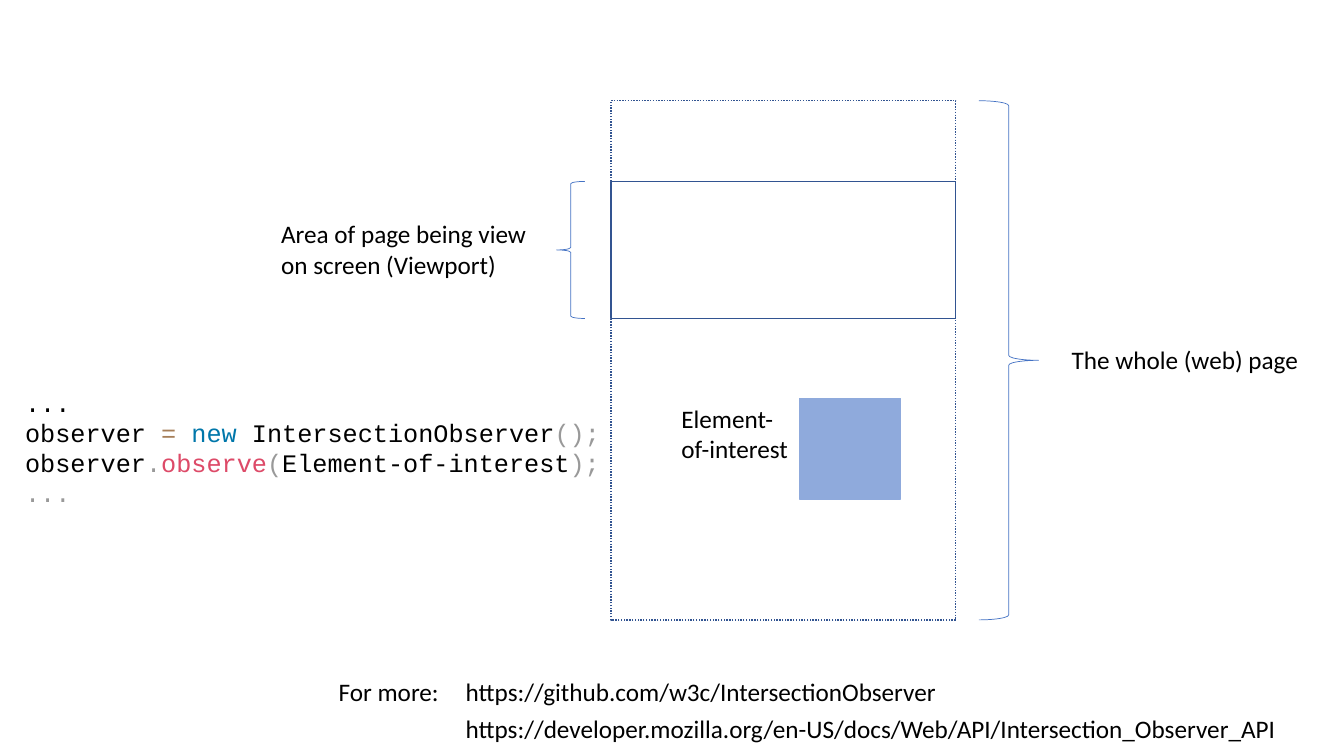
from dataclasses import dataclass
from typing import NamedTuple, Optional

import pptx
import pptx.dml.color
import pptx.enum.dml
import pptx.enum.shapes
import pptx.enum.text
import pptx.util

SLIDE_WIDTH = pptx.util.Inches(13.33)
SLIDE_HEIGHT = pptx.util.Inches(7.5)
BLANK_LAYOUT = 6
PRESET = pptx.enum.shapes.MSO_SHAPE


@dataclass(frozen=True)
class Theme:
    body_font: str = "Calibri"
    code_font: str = "Courier New"
    text_size: float = 18
    outline_weight: float = 1
    brace_weight: float = 0.5
    text: str = "000000"
    outline: str = "325491"
    brace: str = "4472C4"
    element: str = "8FAADC"
    operator: str = "A67F59"
    keyword: str = "0077AA"
    function: str = "DD4A68"
    punctuation: str = "999999"


THEME = Theme()


class Area(NamedTuple):
    """Left and width in percent of slide width, top and height in percent of its height."""
    left: float
    top: float
    width: float
    height: float

    def lengths(self) -> tuple[int, ...]:
        sides = (SLIDE_WIDTH, SLIDE_HEIGHT, SLIDE_WIDTH, SLIDE_HEIGHT)
        return tuple(round(side * share / 100) for side, share in zip(sides, self))


class Span(NamedTuple):
    text: str
    color: str = THEME.text


@dataclass(frozen=True)
class Figure:
    area: Area
    preset: PRESET
    line: str
    weight: float = THEME.outline_weight
    fill: Optional[str] = None
    dotted: bool = False


@dataclass(frozen=True)
class Label:
    area: Area
    lines: list[list[Span]]
    wrap: bool = True
    font: str = THEME.body_font


# Shared rows, columns and heights
PAGE_LEFT, PAGE_WIDTH = 45.46, 25.66
PAGE_TOP, PAGE_HEIGHT = 13.33, 68.67
VIEW_TOP, VIEW_HEIGHT = 24, 18.13
ELEMENT_TOP = 52.67
LINK_LEFT, LINK_TOP = 33.91, 88.8
ONE_LINE, TWO_LINES, FOUR_LINES = 5.33, 9.47, 17.47

FIGURES = [
    # Whole page and viewport
    Figure(Area(PAGE_LEFT, PAGE_TOP, PAGE_WIDTH, PAGE_HEIGHT), PRESET.RECTANGLE,
           THEME.outline, dotted=True),
    Figure(Area(PAGE_LEFT, VIEW_TOP, PAGE_WIDTH, VIEW_HEIGHT), PRESET.RECTANGLE,
           THEME.outline),
    # Braces that measure them
    Figure(Area(72.84, PAGE_TOP, 4.43, PAGE_HEIGHT), PRESET.RIGHT_BRACE,
           THEME.brace, THEME.brace_weight),
    Figure(Area(41.41, VIEW_TOP, 2.1, VIEW_HEIGHT), PRESET.LEFT_BRACE,
           THEME.brace, THEME.brace_weight),
    # Element of interest
    Figure(Area(59.49, ELEMENT_TOP, 7.5, 13.33), PRESET.RECTANGLE,
           THEME.element, fill=THEME.element),
]

CODE = [
    [Span("...")],
    [Span("observer "), Span("= ", THEME.operator), Span("new ", THEME.keyword),
     Span("IntersectionObserver"), Span("();", THEME.punctuation)],
    [Span("observer"), Span(".", THEME.punctuation), Span("observe", THEME.function),
     Span("(", THEME.punctuation), Span("Element-of-interest"),
     Span(");", THEME.punctuation)],
    [Span("...", THEME.punctuation)],
]

LABELS = [
    # Captions of the diagram
    Label(Area(79, 44.93, 18.6, ONE_LINE), [[Span("The whole (web) page")]], wrap=False),
    Label(Area(20.18, 28.27, 20.41, TWO_LINES),
          [[Span("Area of page being view on screen (Viewport)")]]),
    Label(Area(49.96, ELEMENT_TOP, 10.35, TWO_LINES), [[Span("Element-of-interest")]]),
    # Code sample
    Label(Area(1.13, 50.53, 44.71, FOUR_LINES), CODE, font=THEME.code_font),
    # Further reading
    Label(Area(24.46, LINK_TOP, 9.45, ONE_LINE), [[Span("For more:")]], wrap=False),
    Label(Area(LINK_LEFT, LINK_TOP, 36.98, ONE_LINE),
          [[Span("https://github.com/w3c/IntersectionObserver")]], wrap=False),
    Label(Area(LINK_LEFT, 93.73, 65, ONE_LINE),
          [[Span("https://developer.mozilla.org/en-US/docs/Web/API/"
                 "Intersection_Observer_API")]]),
]


def rgb(color: str) -> pptx.dml.color.RGBColor:
    return pptx.dml.color.RGBColor.from_string(color)


def apply_format(target: object, values: dict[str, object]) -> None:
    for name, value in values.items():
        setattr(target, name, value)


def draw_figure(page: pptx.slide.Slide, figure: Figure) -> None:
    shape = page.shapes.add_shape(figure.preset, *figure.area.lengths())
    shape.shadow.inherit = False
    if figure.fill:
        shape.fill.solid()
        shape.fill.fore_color.rgb = rgb(figure.fill)
    else:
        shape.fill.background()
    shape.line.color.rgb = rgb(figure.line)
    shape.line.width = pptx.util.Pt(figure.weight)
    if figure.dotted:
        shape.line.dash_style = pptx.enum.dml.MSO_LINE.ROUND_DOT


def draw_label(page: pptx.slide.Slide, label: Label) -> None:
    box = page.shapes.add_textbox(*label.area.lengths())
    apply_format(box.text_frame, {
        "word_wrap": label.wrap,
        "auto_size": pptx.enum.text.MSO_AUTO_SIZE.SHAPE_TO_FIT_TEXT,
    })
    for index, line in enumerate(label.lines):
        para = box.text_frame.add_paragraph() if index else box.text_frame.paragraphs[0]
        for span in line:
            run = para.add_run()
            run.text = span.text
            apply_format(run.font, {"name": label.font,
                                    "size": pptx.util.Pt(THEME.text_size)})
            run.font.color.rgb = rgb(span.color)


def main() -> None:
    deck = pptx.Presentation()
    apply_format(deck, {"slide_width": SLIDE_WIDTH, "slide_height": SLIDE_HEIGHT})
    page = deck.slides.add_slide(deck.slide_layouts[BLANK_LAYOUT])
    for figure in FIGURES:
        draw_figure(page, figure)
    for label in LABELS:
        draw_label(page, label)
    deck.save("out.pptx")


if __name__ == "__main__":
    main()
